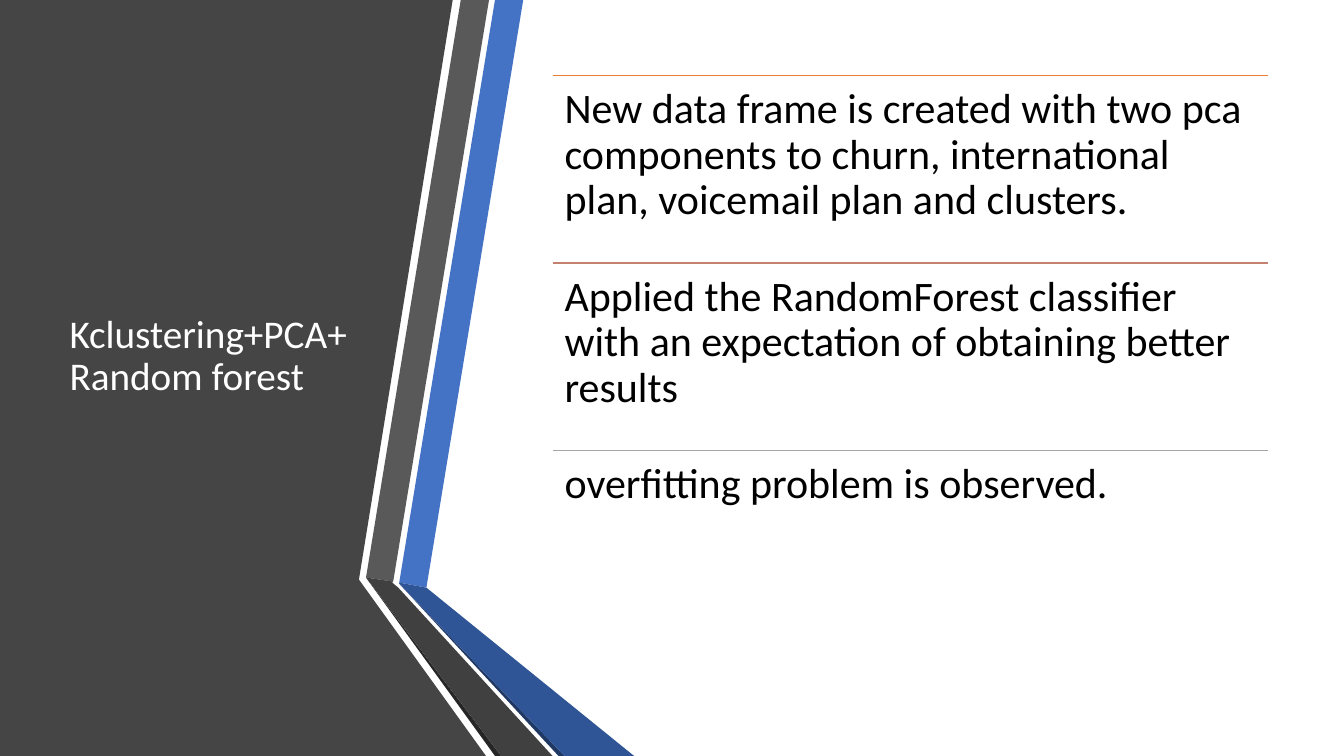
from lxml.etree import SubElement
from pptx import Presentation
from pptx.dml.color import RGBColor
from pptx.enum.shapes import MSO_CONNECTOR
from pptx.enum.text import MSO_ANCHOR, MSO_AUTO_SIZE, PP_ALIGN
from pptx.oxml.ns import qn
from pptx.util import Pt

PX = 9144  # 100 px to the inch
COLORS = {
    "panel": "454545", "blue": "4472C4", "gray": "595959",
    "shade": "262626", "navy": "203864", "deep": "2F5597", "dark": "404040",
    "white": "FFFFFF", "black": "000000",
    "orange": "ED7D31", "rose": "C48170", "silver": "A5A5A5",
}


def rgb(name):
    return RGBColor.from_string(COLORS[name])


def write(shape, text, size, color, inset, anchor, after=0):
    frame = shape.text_frame
    frame.word_wrap = True
    frame.auto_size = MSO_AUTO_SIZE.NONE
    frame.vertical_anchor = anchor
    frame.margin_left = frame.margin_right = inset * PX
    frame.margin_top = frame.margin_bottom = inset * PX
    para = frame.paragraphs[0]
    para.alignment = PP_ALIGN.LEFT
    para.line_spacing = 0.9
    para.space_after = Pt(after)
    run = para.add_run()
    run.text = text
    run.font.name = "Calibri"
    run.font.size = Pt(size)
    run.font.color.rgb = rgb(color)


deck = Presentation()
deck.slide_width, deck.slide_height = 1333 * PX, 750 * PX
slide = deck.slides.add_slide(deck.slide_layouts[5])
shapes = slide.shapes

# Dark panel and the folded ribbons beside it
ribbons = [
    ("panel", [(0, 0), (449, 0), (356, 575), (482, 750), (0, 750)]),
    ("blue", [(396, 578), (423, 583), (519, 0), (491, 0)]),
    ("gray", [(485, 0), (457, 0), (363, 573), (390, 577)]),
    ("shade", [(363, 573), (491, 750), (497, 750)]),
    ("navy", [(396, 579), (554, 750), (560, 750)]),
    ("deep", [(396, 578), (396, 579), (560, 750), (629, 750), (423, 583)]),
    ("dark", [(548, 750), (395, 583), (389, 578), (390, 577),
              (363, 573), (497, 750)]),
]
for color, points in ribbons:
    outline = shapes.build_freeform(*points[0], scale=PX)
    outline.add_line_segments(points[1:], close=True)
    ribbon = outline.convert_to_shape()
    ribbon.shadow.inherit = False
    ribbon.fill.solid()
    ribbon.fill.fore_color.rgb = rgb(color)
    ribbon.line.fill.background()

# Title, brought in front of the panel
title = shapes.title
title.left, title.top, title.width, title.height = (
    n * PX for n in (59, 75, 304, 558))
write(title, "Kclustering+PCA+ Random forest", size=28, color="white",
      inset=10, anchor=MSO_ANCHOR.MIDDLE)
title.element.getparent().append(title.element)

# Equal rows, each under a rule
LEFT, TOP, WIDTH, ROW = 548, 75, 710, 186
notes = [
    ("orange", "New data frame is created with two pca components to churn, "
               "international plan, voicemail plan and clusters."),
    ("rose", "Applied the RandomForest classifier with an expectation of "
             "obtaining better results"),
    ("silver", "overfitting problem is observed."),
]
for i, (color, text) in enumerate(notes):
    y = (TOP + i * ROW) * PX
    rule = shapes.add_connector(MSO_CONNECTOR.STRAIGHT, LEFT * PX, y,
                                (LEFT + WIDTH) * PX, y)
    rule.line.color.rgb = rgb(color)
    rule.line.width = Pt(1)
    SubElement(rule.element.spPr, qn("a:effectLst"))
    box = shapes.add_textbox(LEFT * PX, y, WIDTH * PX, ROW * PX)
    write(box, text, size=30, color="black", inset=12,
          anchor=MSO_ANCHOR.TOP, after=10.5)

deck.save("out.pptx")
